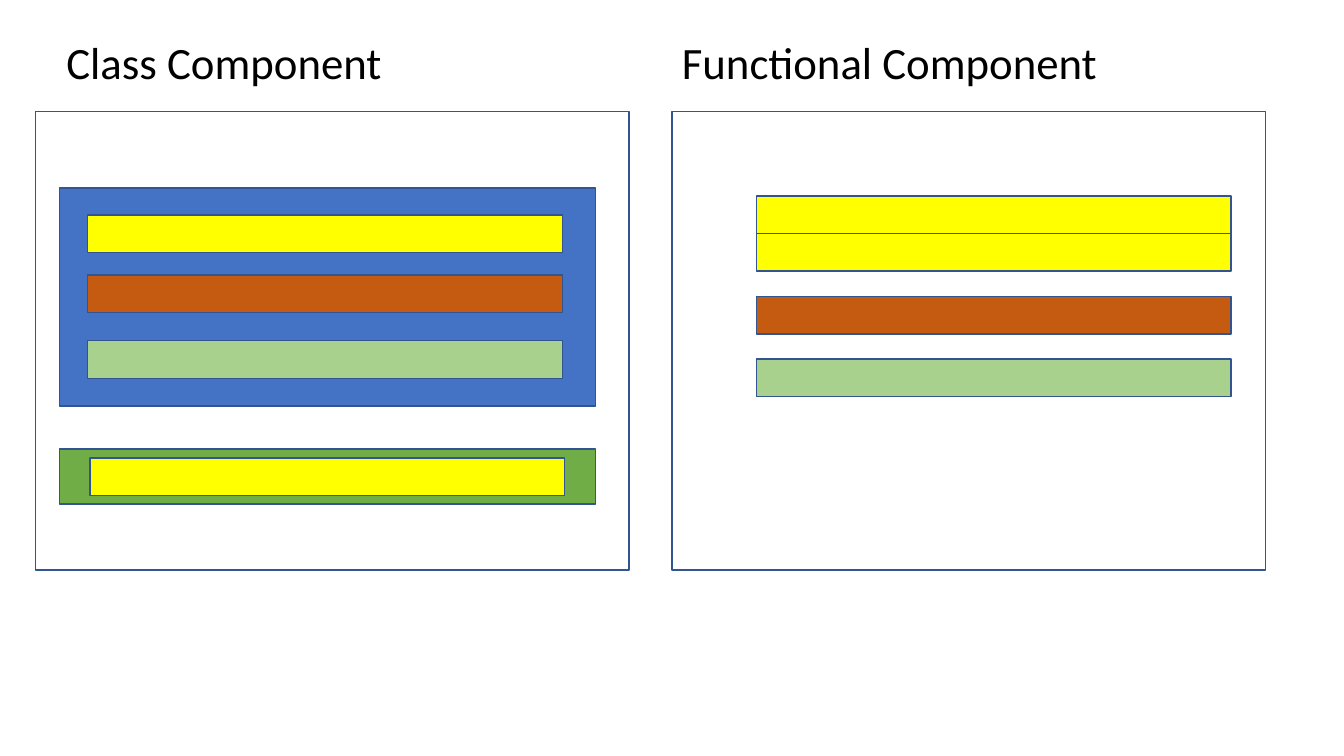
import pptx
import pptx.dml.color
import pptx.enum.shapes
import pptx.enum.text
import pptx.util

Pt = pptx.util.Pt
YELLOW, ORANGE, LIME = "FFFF00", "C55A11", "A9D18E"
BLUE, GREEN, WHITE, NAVY, BLACK = "4472C4", "70AD47", "FFFFFF", "325491", "000000"
BAR = (339.1, 26.8)
PANEL = (424.1, 327.6)


def color(code):
    return pptx.dml.color.RGBColor.from_string(code)


def style(item, values):
    for name, value in values.items():
        setattr(item, name, value)


def box(slide, left, top, size, fill):
    kind = pptx.enum.shapes.MSO_SHAPE.RECTANGLE
    shape = slide.shapes.add_shape(kind, Pt(left), Pt(top), *map(Pt, size))
    shape.shadow.inherit = False
    shape.fill.solid()
    shape.fill.fore_color.rgb = color(fill)
    shape.line.color.rgb = color(NAVY)
    shape.line.width = Pt(1)


def bars(slide, left, rows):
    for top, fill in rows:
        box(slide, left, top, BAR, fill)


def title(slide, left, text):
    label = slide.shapes.add_textbox(Pt(left), Pt(20.9), Pt(409), Pt(46))
    frame = label.text_frame
    style(frame, {"word_wrap": True,
                  "auto_size": pptx.enum.text.MSO_AUTO_SIZE.SHAPE_TO_FIT_TEXT})
    run = frame.paragraphs[0].add_run()
    run.text = text
    style(run.font, {"name": "Calibri", "size": Pt(32)})
    run.font.color.rgb = color(BLACK)


def main():
    deck = pptx.Presentation()
    style(deck, {"slide_width": Pt(960), "slide_height": Pt(540)})
    slide = deck.slides.add_slide(deck.slide_layouts[6])

    box(slide, 25.2, 79.6, PANEL, WHITE)
    box(slide, 42.4, 134.4, (383, 155.8), BLUE)
    box(slide, 42.4, 320.8, (383, 39.2), GREEN)
    bars(slide, 62.6, [(153.6, YELLOW), (196.4, ORANGE), (243.4, LIME)])
    bars(slide, 64.3, [(327, YELLOW)])

    box(slide, 480, 79.5, PANEL, WHITE)
    bars(slide, 540.2, [(140.1, YELLOW), (166.9, YELLOW), (211.8, ORANGE), (256.5, LIME)])

    title(slide, 40.3, "Class Component")
    title(slide, 480, "Functional Component")
    deck.save("out.pptx")


if __name__ == "__main__":
    main()
